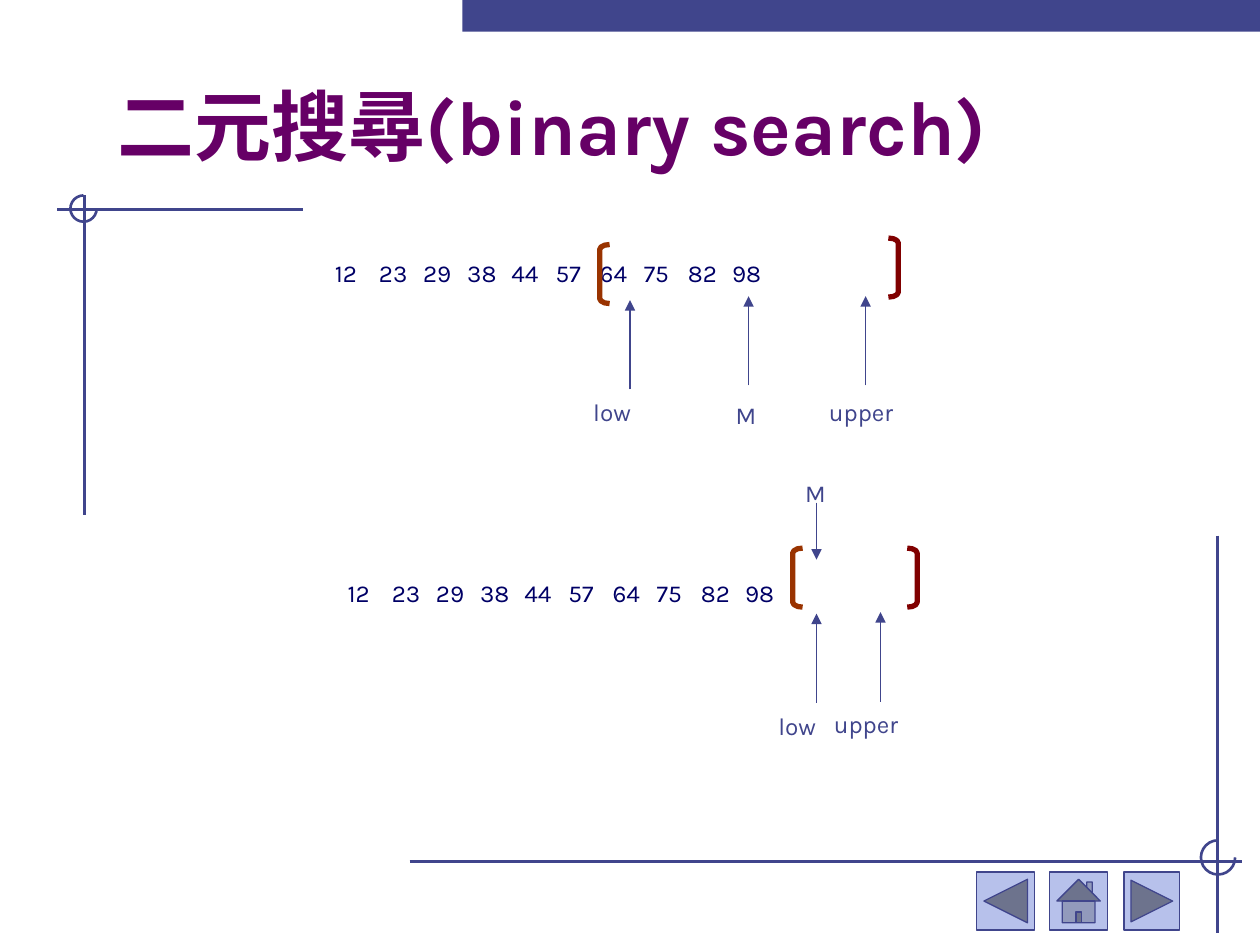
from pptx import Presentation
from pptx.dml.color import RGBColor
from pptx.enum.shapes import MSO_CONNECTOR, MSO_SHAPE
from pptx.enum.text import MSO_ANCHOR, PP_ALIGN
from pptx.oxml.ns import qn
from pptx.util import Cm, Pt
from lxml.etree import SubElement

INDIGO = RGBColor(0x40, 0x45, 0x8C)
LAVENDER = RGBColor(0xB7, 0xC1, 0xEB)
PURPLE = RGBColor(0x66, 0x00, 0x66)
NAVY = RGBColor(0x00, 0x00, 0x66)
BROWN = RGBColor(0x99, 0x33, 0x00)
MAROON = RGBColor(0x80, 0x00, 0x00)
FONT = "Karla"

# All lengths are in centimetres.
TITLE = "二元搜尋(binary search)"
NUMBERS = [12, 23, 29, 38, 44, 57, 64, 75, 82, 98]
NUMBER_STEP = 0.89
LABEL_WIDTHS = {"low": 2.01, "M": 1.4, "upper": 2.79}
LABEL_HEIGHT = 1.27
BRACKET_SIZE = (0.2, 1.19)

STEPS = [
    {
        "numbers": (6.5, 4.98, 18.9, 0.94),
        "brackets": [(12.09, 4.93), (17.91, 4.8)],
        # name, label left and top, arrow x, arrow start y and end y
        "pointers": [
            ("low", 11.71, 7.77, 12.7, 7.85, 6.05),
            ("M", 14.58, 7.85, 15.09, 7.77, 5.97),
            ("upper", 16.46, 7.77, 17.45, 7.77, 5.97),
        ],
    },
    {
        "numbers": (6.76, 11.43, 18.64, 1.27),
        "brackets": [(15.98, 11.05), (18.29, 11.05)],
        "pointers": [
            ("low", 15.44, 14.1, 16.46, 14.17, 12.37),
            ("M", 15.98, 9.42, 16.46, 10.13, 11.28),
            ("upper", 16.56, 14.07, 17.75, 14.15, 12.34),
        ],
    },
]

FRAME_LINES = [
    (6.1, 4.22, 1.14, 4.22),
    (1.7, 3.94, 1.7, 10.39),
    (8.26, 17.37, 25.04, 17.37),
    (24.54, 10.8, 24.54, 18.8),
]
FRAME_ARCS = [(1.42, 3.94, 0.53, 0.53), (24.21, 16.94, 0.69, 0.69)]
BUTTONS = [
    (MSO_SHAPE.ACTION_BUTTON_BACK_OR_PREVIOUS, 19.69, 1.17),
    (MSO_SHAPE.ACTION_BUTTON_HOME, 21.16, 1.17),
    (MSO_SHAPE.ACTION_BUTTON_FORWARD_OR_NEXT, 22.66, 1.12),
]
BUTTON_TOP, BUTTON_HEIGHT = 17.58, 1.17


def add_shape(s, kind, box, fill=None, line=None, width=0.75):
    sp = s.shapes.add_shape(kind, *map(Cm, box))
    sp.shadow.inherit = False
    if fill is None:
        sp.fill.background()
    else:
        sp.fill.solid()
        sp.fill.fore_color.rgb = fill
    if line is None:
        sp.line.fill.background()
    else:
        sp.line.color.rgb = line
        sp.line.width = Pt(width)
    return sp


def add_line(s, ends, width, arrow=False):
    cxn = s.shapes.add_connector(MSO_CONNECTOR.STRAIGHT, *map(Cm, ends))
    cxn.line.color.rgb = INDIGO
    cxn.line.width = Pt(width)
    if arrow:
        SubElement(cxn.line._get_or_add_ln(), qn("a:tailEnd"), type="triangle")
    SubElement(cxn._element.spPr, qn("a:effectLst"))


def write(sp, text, size=24, color=INDIGO, bold=False, raised=True, tabs=()):
    """Fill a shape with one formatted line; raised sets it as superscript."""
    tf = sp.text_frame
    tf.word_wrap = True
    p = tf.paragraphs[0]
    p.alignment = PP_ALIGN.LEFT
    if tabs:
        tab_list = SubElement(p._p.get_or_add_pPr(), qn("a:tabLst"))
        for pos in tabs:
            SubElement(tab_list, qn("a:tab"), pos=str(Cm(pos)), algn="l")
    r = p.add_run()
    r.text = text
    r.font.name = FONT
    r.font.size = Pt(size)
    r.font.bold = bold
    r.font.color.rgb = color
    if raised:
        r._r.get_or_add_rPr().set("baseline", "30000")


def add_frame(s):
    add_shape(s, MSO_SHAPE.RECTANGLE, (9.32, 0, 16.08, 0.64), fill=INDIGO)
    for ends in FRAME_LINES:
        add_line(s, ends, 1.5)
    for box in FRAME_ARCS:
        arc = add_shape(s, MSO_SHAPE.ARC, box, line=INDIGO, width=1.5)
        arc.adjustments[0] = 0
        arc.adjustments[1] = 162  # 270 degrees, in units of 100000/60000 degree
    for kind, left, width in BUTTONS:
        add_shape(s, kind, (left, BUTTON_TOP, width, BUTTON_HEIGHT),
                  fill=LAVENDER, line=INDIGO)


def add_title(s):
    title = s.shapes.title
    title.left, title.top, title.width, title.height = map(
        Cm, (2.11, 1.47, 21.59, 2.11))
    title.text_frame.vertical_anchor = MSO_ANCHOR.BOTTOM
    write(title, TITLE, size=44, color=PURPLE, bold=True, raised=False)


def add_step(s, step):
    row = s.shapes.add_textbox(*map(Cm, step["numbers"]))
    tabs = [NUMBER_STEP * i for i in range(1, len(NUMBERS))]
    write(row, "\t".join(map(str, NUMBERS)), color=NAVY, tabs=tabs)
    for name, left, top, x, start, end in step["pointers"]:
        box = (left, top, LABEL_WIDTHS[name], LABEL_HEIGHT)
        write(s.shapes.add_textbox(*map(Cm, box)), name)
        add_line(s, (x, start, x, end), 0.75, arrow=True)
    kinds = [(MSO_SHAPE.LEFT_BRACKET, BROWN), (MSO_SHAPE.RIGHT_BRACKET, MAROON)]
    for (kind, color), place in zip(kinds, step["brackets"]):
        bracket = add_shape(s, kind, place + BRACKET_SIZE, line=color, width=3)
        bracket.adjustments[0] = 0.5


def main():
    prs = Presentation()
    prs.slide_width, prs.slide_height = Cm(25.4), Cm(19.05)
    s = prs.slides.add_slide(prs.slide_layouts[5])
    add_frame(s)
    add_title(s)
    for step in STEPS:
        add_step(s, step)
    prs.save("out.pptx")


if __name__ == "__main__":
    main()
